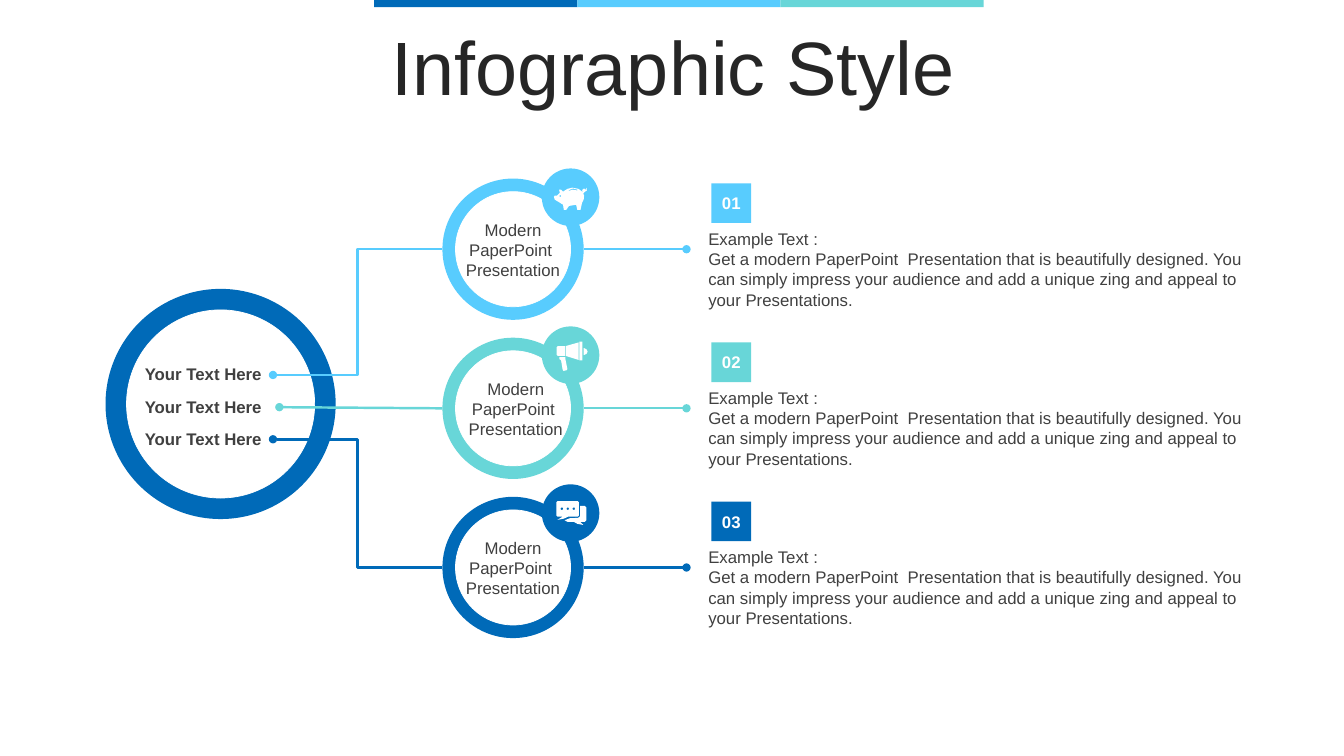
import math

from lxml import etree
from pptx import Presentation
from pptx import util as u
from pptx.dml.color import RGBColor
from pptx.enum import shapes, text
from pptx.oxml import ns

Cm = u.Cm
COLORS = {"blue": "006AB8", "sky": "58CCFE", "teal": "68D6D8",
          "white": "FFFFFF", "title": "262626", "body": "404040"}
ELBOW, STRAIGHT = shapes.MSO_CONNECTOR.ELBOW, shapes.MSO_CONNECTOR.STRAIGHT
RECT, OVAL = shapes.MSO_SHAPE.RECTANGLE, shapes.MSO_SHAPE.OVAL
CENTER, MIDDLE = text.PP_ALIGN.CENTER, text.MSO_ANCHOR.MIDDLE
GROW = text.MSO_AUTO_SIZE.SHAPE_TO_FIT_TEXT

ROW_PITCH = 4.01
FIRST_ROW = 6.28
RING_X = 12.93
RING_SIZE = 3.56
ROWS = [
    {"color": "sky", "kind": ELBOW, "start": (6.88, 9.45), "shift": 0, "icon": "pig"},
    {"color": "teal", "kind": STRAIGHT, "start": (7.04, 10.26), "shift": 0.07, "icon": "megaphone"},
    {"color": "blue", "kind": ELBOW, "start": (6.88, 11.07), "shift": 0, "icon": "chat"},
]
EXAMPLE = ["Example Text :",
           "Get a modern PaperPoint  Presentation that is beautifully designed. "
           "You can simply impress your audience and add a unique zing and appeal "
           "to your Presentations."]


def dot(x, y, radius):
    return [(x + radius * math.cos(i * math.pi / 6), y + radius * math.sin(i * math.pi / 6))
            for i in range(12)]


ICONS = {
    "pig": [
        [(4, -24), (20, -21), (29, -14), (31, -13), (29, -18), (34, -22), (37, -19),
         (37, -17), (40, -24), (41, -17), (35, -13), (32, -9), (34, -4), (33, 6),
         (29, 14), (25, 32), (17, 32), (14, 19), (-4, 22), (-11, 32), (-17, 32),
         (-19, 19), (-30, 12), (-40, 6), (-42, -1), (-40, -4), (-34, -4), (-27, -11),
         (-29, -19), (-24, -19), (-19, -14), (-8, -21)],
        dot(-26, -3, 2),
        [(-6, -17), (6, -22), (17, -19), (17, -17), (5, -19), (-4, -16)],
    ],
    "megaphone": [
        [(-32, -23), (-14, -23), (-14, 2), (-32, 2), (-35, -1), (-35, -20)],
        [(-12, -23), (20, -32), (20, 12), (-12, 2)],
        [(22, -34), (30, -34), (30, 13), (22, 13)],
        [(33, -18), (40, -15), (43, -9), (40, -3), (33, 0)],
        [(-28, 5), (-13, 5), (-13, 10), (-8, 35), (-10, 38), (-18, 40),
         (-20, 37), (-24, 13), (-28, 10)],
    ],
    "chat": [
        [(-33, -30), (18, -30), (21, -27), (21, 6), (18, 9), (-6, 9), (-17, 14),
         (-33, 17), (-20, 9), (-33, 9), (-36, 6), (-36, -27)],
        [(24, -18), (36, -18), (40, -14), (40, 18), (36, 22), (24, 22), (32, 30),
         (17, 27), (8, 22), (-8, 22), (-15, 18), (-2, 13), (19, 12), (24, 8)],
        *[dot(x, -11, 3) for x in (-22, -7, 8)],
    ],
}


def rgb(name):
    return RGBColor.from_string(COLORS[name])


def apply(target, values):
    for name, value in values.items():
        setattr(target, name, value)


def paint(sp, color, outline=None):
    sp.shadow.inherit = False
    sp.fill.solid()
    sp.fill.fore_color.rgb = rgb(color)
    if outline:
        sp.line.color.rgb = rgb(outline)
        sp.line.width = u.Pt(0.5)
    else:
        sp.line.fill.background()


def write(sp, lines, color="body", frame=None, para=None, **font):
    tf = sp.text_frame
    apply(tf, {"word_wrap": True, **(frame or {})})
    for i, line in enumerate(lines):
        p = tf.add_paragraph() if i else tf.paragraphs[0]
        apply(p, para or {})
        r = p.add_run()
        r.text = line
        apply(r.font, {"name": "Arial", "size": u.Pt(12), **font})
        r.font.color.rgb = rgb(color)


def add_text(s, box, lines, **style):
    write(s.shapes.add_textbox(*map(Cm, box)), lines, **style)


def add_block(s, box, color):
    sp = s.shapes.add_shape(RECT, *map(Cm, box))
    paint(sp, color)
    return sp


def add_disc(s, x, y, size, color, outline=None):
    sp = s.shapes.add_shape(OVAL, Cm(x - size / 2), Cm(y - size / 2), Cm(size), Cm(size))
    paint(sp, color, outline)


def add_ring(s, x, y, outer, inner, color):
    add_disc(s, x, y, outer, color)
    add_disc(s, x, y, inner, "white", "white")


def add_link(s, kind, start, end, color, width):
    link = s.shapes.add_connector(kind, *map(Cm, start + end))
    link.line.color.rgb = rgb(color)
    link.line.width = u.Pt(width)
    etree.SubElement(link.line._get_or_add_ln(), ns.qn("a:headEnd"), type="oval")
    etree.SubElement(link._element.spPr, ns.qn("a:effectLst"))


def add_icon(s, x, y, outlines):
    builder = s.shapes.build_freeform(*outlines[0][0], scale=Cm(0.01))
    for i, points in enumerate(outlines):
        if i:
            builder.move_to(*points[0])
        builder.add_line_segments(points[1:], close=True)
    paint(builder.convert_to_shape(Cm(x), Cm(y)), "white")


def add_row(s, i, row):
    color = row["color"]
    y = FIRST_ROW + i * ROW_PITCH
    left, right = RING_X - RING_SIZE / 2, RING_X + RING_SIZE / 2
    add_link(s, row["kind"], row["start"], (left, y), color, 1.75)
    add_ring(s, RING_X, y, RING_SIZE, 2.9, color)
    add_text(s, (3.4, 9.04 + i * 0.82, 3.63, 0.76), ["Your Text Here"],
             frame={"auto_size": GROW}, bold=True)
    add_text(s, (11.48 + row["shift"], y - 0.87, 2.9, 1.8),
             ["Modern PaperPoint  Presentation"],
             frame={"auto_size": GROW}, para={"alignment": CENTER})
    badge = (14.38, 4.97 + i * 3.98)
    add_disc(s, *badge, 1.45, color)
    add_icon(s, *badge, ICONS[row["icon"]])
    add_link(s, STRAIGHT, (17.3, y), (right, y), color, 1.5)
    add_text(s, (17.6, y - 0.64, 14.12, 2.31), EXAMPLE, frame={"auto_size": GROW})
    number = add_block(s, (17.93, y - 1.66, 1, 1), color)
    write(number, [f"{i + 1:02}"], "white", bold=True, para={"alignment": CENTER},
          frame={"vertical_anchor": MIDDLE, "margin_left": 0, "margin_right": 0})


def main():
    prs = Presentation()
    apply(prs, {"slide_width": Cm(33.87), "slide_height": Cm(19.05)})
    s = prs.slides.add_slide(prs.slide_layouts[6])
    add_text(s, (0.89, 0.79, 32.16, 2), ["Infographic Style"], color="title",
             frame={"vertical_anchor": MIDDLE},
             para={"alignment": CENTER, "line_spacing": 0.9}, size=u.Pt(54))
    for i, color in enumerate(("blue", "sky", "teal")):
        add_block(s, (9.43 + i * 5.12, 0, 5.12, 0.18), color)
    add_ring(s, 5.56, 10.18, 5.8, 4.74, "blue")
    for i, row in enumerate(ROWS):
        add_row(s, i, row)
    prs.save("out.pptx")


if __name__ == "__main__":
    main()
